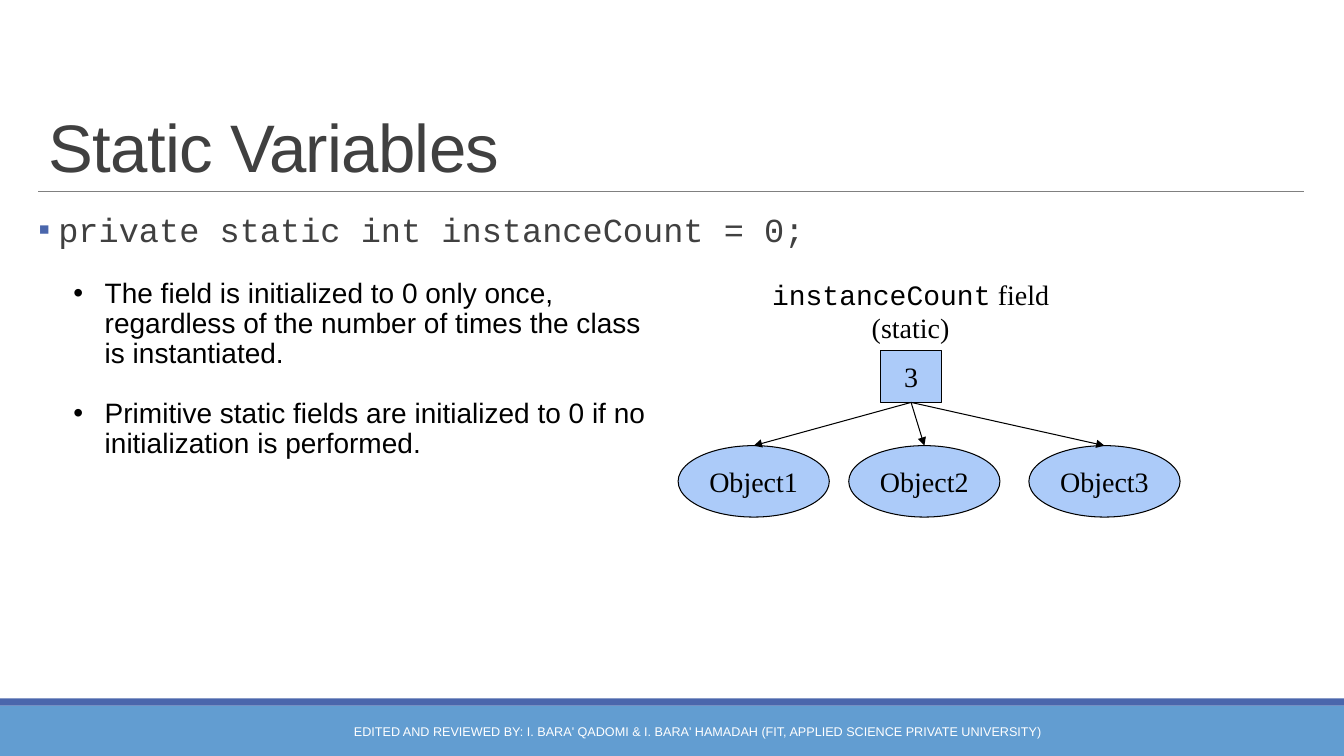
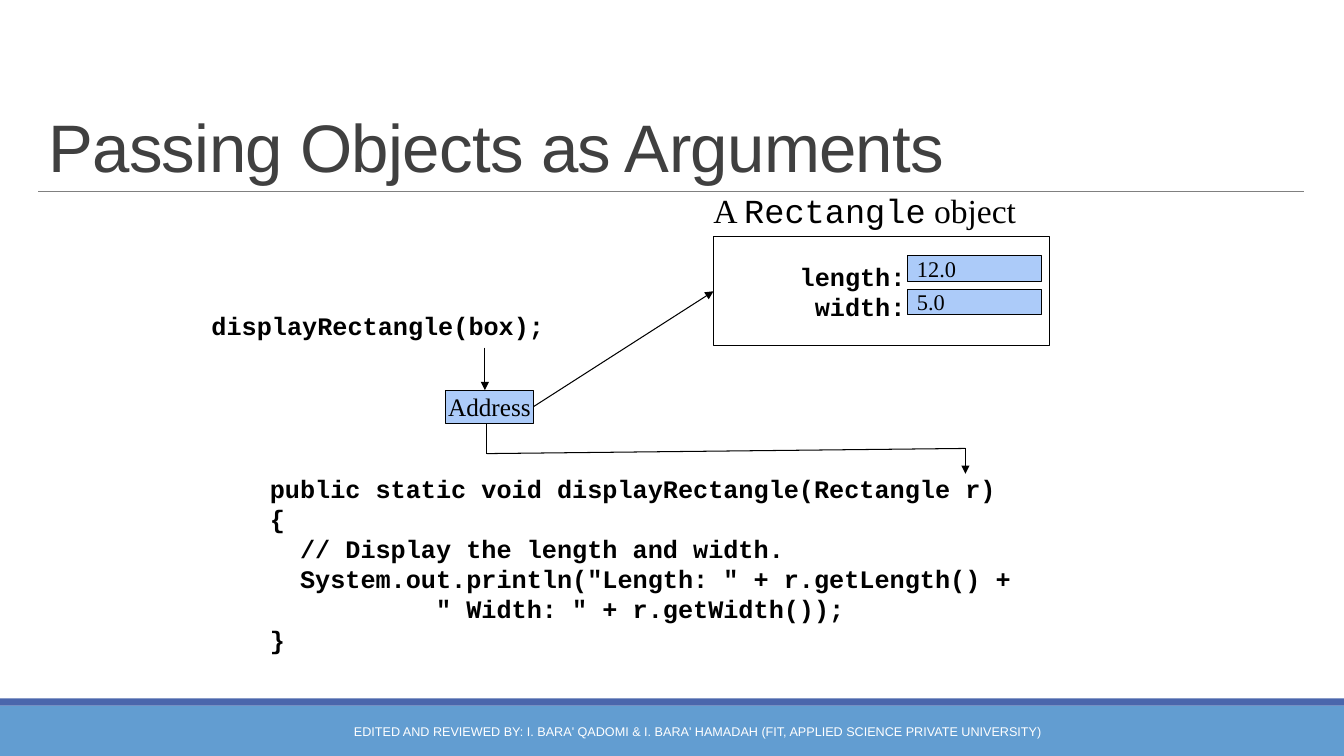
from dataclasses import dataclass
from typing import NamedTuple

from lxml.etree import SubElement
from pptx import Presentation
from pptx.dml.color import RGBColor
from pptx.enum.shapes import MSO_CONNECTOR, MSO_SHAPE
from pptx.enum.text import MSO_ANCHOR, PP_ALIGN
from pptx.oxml.ns import qn
from pptx.shapes.autoshape import Shape
from pptx.shapes.connector import Connector
from pptx.slide import Slide
from pptx.util import Cm, Pt

BLACK = RGBColor(0x00, 0x00, 0x00)
WHITE = RGBColor(0xFF, 0xFF, 0xFF)
CHARCOAL = RGBColor(0x40, 0x40, 0x40)
GRAY = RGBColor(0x80, 0x80, 0x80)
INDIGO = RGBColor(0x4A, 0x66, 0xAC)
SKY = RGBColor(0x62, 0x9D, 0xD1)
PALE_BLUE = RGBColor(0xAC, 0xCB, 0xF9)

SANS = "Arial"
MONO = "Courier New"
SERIF = "Times New Roman"

FOOTER = (
    "EDITED AND REVIEWED BY: I. BARA' QADOMI & I. BARA' HAMADAH "
    "(FIT, APPLIED SCIENCE PRIVATE UNIVERSITY)"
)
CODE = (
    "public static void displayRectangle(Rectangle r)",
    "{",
    "  // Display the length and width.",
    '  System.out.println("Length: " + r.getLength() +',
    '           " Width: " + r.getWidth());',
    "}",
)


class Frame(NamedTuple):
    left: float
    top: float
    width: float
    height: float


class Point(NamedTuple):
    x: float
    y: float


class Bullet(NamedTuple):
    symbol: str
    indent: float
    color: RGBColor


@dataclass(frozen=True)
class Span:
    text: str
    font: str
    size: float
    color: RGBColor = BLACK
    bold: bool = False
    tracking: int = 0


@dataclass(frozen=True)
class Para:
    spans: tuple[Span, ...]
    align: PP_ALIGN = PP_ALIGN.LEFT
    bullet: Bullet | None = None
    line_spacing: float | None = None
    space_before: float = 0


def centered(*spans: Span) -> Para:
    return Para(spans, PP_ALIGN.CENTER)


def code_line(text: str, align: PP_ALIGN = PP_ALIGN.LEFT) -> Para:
    return Para((Span(text, MONO, 18, bold=True),), align)


def lengths(frame: Frame) -> list[Cm]:
    return [Cm(value) for value in frame]


def write(box: Shape, paras: list[Para], anchor: MSO_ANCHOR, wrap: bool) -> None:
    text_frame = box.text_frame
    text_frame.word_wrap = wrap
    text_frame.vertical_anchor = anchor
    for index, para in enumerate(paras):
        paragraph = text_frame.paragraphs[0] if index == 0 else text_frame.add_paragraph()
        if para.bullet:
            add_bullet(paragraph, para.bullet)
        paragraph.alignment = para.align
        if para.line_spacing:
            paragraph.line_spacing = para.line_spacing
        if para.space_before:
            paragraph.space_before = Pt(para.space_before)
        for span in para.spans:
            run = paragraph.add_run()
            run.text = span.text
            run.font.name = span.font
            run.font.size = Pt(span.size)
            run.font.bold = span.bold
            run.font.color.rgb = span.color
            if span.tracking:
                run.font._element.set("spc", str(span.tracking))


def add_bullet(paragraph, bullet: Bullet) -> None:
    properties = paragraph._p.get_or_add_pPr()
    properties.set("marL", str(Cm(bullet.indent)))
    properties.set("indent", str(-Cm(bullet.indent)))
    color = SubElement(properties, qn("a:buClr"))
    SubElement(color, qn("a:srgbClr"), val=str(bullet.color))
    SubElement(properties, qn("a:buFont"), typeface=SANS)
    SubElement(properties, qn("a:buChar"), char=bullet.symbol)


def add_text(
    page: Slide,
    frame: Frame,
    paras: list[Para],
    anchor: MSO_ANCHOR = MSO_ANCHOR.TOP,
    wrap: bool = True,
) -> Shape:
    box = page.shapes.add_textbox(*lengths(frame))
    write(box, paras, anchor, wrap)
    return box


def add_band(page: Slide, frame: Frame, color: RGBColor) -> None:
    band = page.shapes.add_shape(MSO_SHAPE.RECTANGLE, *lengths(frame))
    band.shadow.inherit = False
    band.fill.solid()
    band.fill.fore_color.rgb = color
    band.line.fill.background()


def add_node(
    page: Slide,
    frame: Frame,
    paras: list[Para],
    kind: MSO_SHAPE = MSO_SHAPE.RECTANGLE,
    fill: RGBColor = PALE_BLUE,
    wrap: bool = False,
) -> Shape:
    node = page.shapes.add_shape(kind, *lengths(frame))
    node.shadow.inherit = False
    node.fill.solid()
    node.fill.fore_color.rgb = fill
    node.line.color.rgb = BLACK
    node.line.width = Pt(0.75)
    node.text_frame.margin_top = node.text_frame.margin_bottom = 0
    write(node, paras, MSO_ANCHOR.MIDDLE, wrap)
    return node


def add_line(
    page: Slide,
    start: Point,
    end: Point,
    color: RGBColor = BLACK,
    width: float = 0.75,
    arrow: bool = False,
) -> Connector:
    line = page.shapes.add_connector(
        MSO_CONNECTOR.STRAIGHT, *[Cm(value) for value in (*start, *end)]
    )
    line.line.color.rgb = color
    line.line.width = Pt(width)
    if arrow:
        SubElement(line.line._get_or_add_ln(), qn("a:tailEnd"), type="triangle")
    SubElement(line._element.spPr, qn("a:effectLst"))
    return line


def join(page: Slide, source: Shape, source_side: int, target: Shape, target_side: int) -> None:
    arrow = add_line(page, Point(0, 0), Point(1, 1), arrow=True)
    arrow.begin_connect(source, source_side)
    arrow.end_connect(target, target_side)


def add_page(deck, title: str) -> Slide:
    page = deck.slides.add_slide(deck.slide_layouts[6])
    add_band(page, Frame(0, 17.78, 33.87, 1.27), SKY)
    add_band(page, Frame(0, 17.6, 33.87, 0.18), INDIGO)
    add_line(page, Point(0.97, 4.82), Point(32.87, 4.82), GRAY, 0.5)
    heading = Span(title, SANS, 48, CHARCOAL, tracking=-50)
    add_text(
        page, Frame(0.97, 0.79, 31.9, 4.04),
        [Para((heading,), line_spacing=0.85)], MSO_ANCHOR.BOTTOM,
    )
    add_text(
        page, Frame(7.9, 17.93, 19.35, 1.02),
        [centered(Span(FOOTER, SANS, 9, WHITE))], MSO_ANCHOR.MIDDLE,
    )
    return page


def draw_static_variables(deck) -> None:
    page = add_page(deck, "Static Variables")
    declaration = Span("private static int instanceCount = 0;", MONO, 24, CHARCOAL)
    body = add_text(
        page, Frame(0.97, 5.13, 31.9, 1.5),
        [Para((declaration,), bullet=Bullet("▪", 0.5, INDIGO))],
    )
    body.text_frame.margin_left = body.text_frame.margin_right = 0

    facts = (
        "The field is initialized to 0 only once, regardless of the number of times "
        "the class is instantiated.",
        "Primitive static fields are initialized to 0 if no initialization is performed.",
    )
    dot = Bullet("•", 0.79, BLACK)
    add_text(page, Frame(1.6, 6.91, 15.32, 4.88), [
        Para((Span(fact, SANS, 20),), bullet=dot, line_spacing=0.9,
             space_before=21 if index else 0)
        for index, fact in enumerate(facts)
    ])

    add_text(page, Frame(19.18, 6.86, 7.54, 1.96), [
        centered(Span("instanceCount", MONO, 20), Span(" field", SERIF, 20)),
        centered(Span("(static)", SERIF, 20)),
    ], wrap=False)
    counter = add_node(page, Frame(22.2, 8.84, 1.52, 1.3), [centered(Span("3", SERIF, 20))])
    for number, left in enumerate((17.09, 21.39, 25.93), start=1):
        instance = add_node(
            page, Frame(left, 11.23, 3.81, 1.8),
            [centered(Span(f"Object{number}", SERIF, 20))], MSO_SHAPE.OVAL,
        )
        join(page, counter, 2, instance, 0)


def draw_passing_objects(deck) -> None:
    page = add_page(deck, "Passing Objects as Arguments")
    add_text(page, Frame(5.08, 7.7, 9.09, 1.02), [code_line("displayRectangle(box);")])
    add_text(page, Frame(6.55, 11.79, 19.18, 4.83), [code_line(text) for text in CODE])
    add_text(page, Frame(17.73, 4.65, 8.18, 1.27), [Para((
        Span("A ", SERIF, 24), Span("Rectangle", MONO, 24), Span(" object", SERIF, 24),
    ))])

    rectangle = add_node(
        page, Frame(17.98, 5.97, 8.46, 2.74),
        [code_line(name, PP_ALIGN.RIGHT) for name in ("length:", "width:")],
        fill=WHITE, wrap=True,
    )
    rectangle.text_frame.margin_right = Cm(3.62)
    for index, value in enumerate(("12.0", "5.0")):
        add_node(
            page, Frame(22.86, 6.45 + 0.84 * index, 3.38, 0.64),
            [Para((Span(value, SERIF, 16),))], wrap=True,
        )
    address = add_node(
        page, Frame(11.23, 9.83, 2.21, 0.84), [centered(Span("Address", SERIF, 18))]
    )

    add_line(page, Point(12.22, 8.76), Point(12.22, 9.83), arrow=True)
    join(page, address, 3, rectangle, 1)
    route = (Point(12.27, 10.67), Point(12.27, 11.43), Point(24.33, 11.3), Point(24.33, 11.94))
    for start, end in zip(route, route[1:]):
        add_line(page, start, end, arrow=end == route[-1])


def main() -> None:
    deck = Presentation()
    deck.slide_width = Cm(33.87)
    deck.slide_height = Cm(19.05)
    draw_static_variables(deck)
    draw_passing_objects(deck)
    deck.save("out.pptx")


if __name__ == "__main__":
    main()
